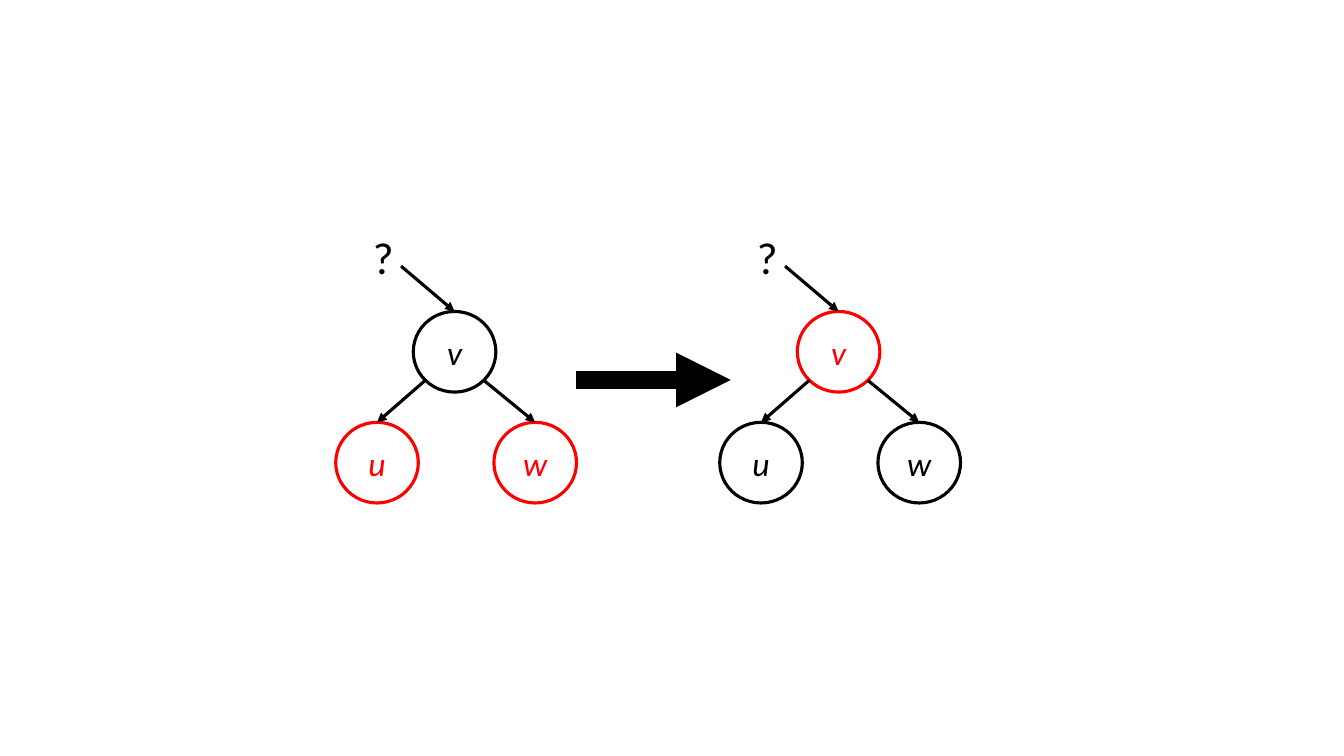
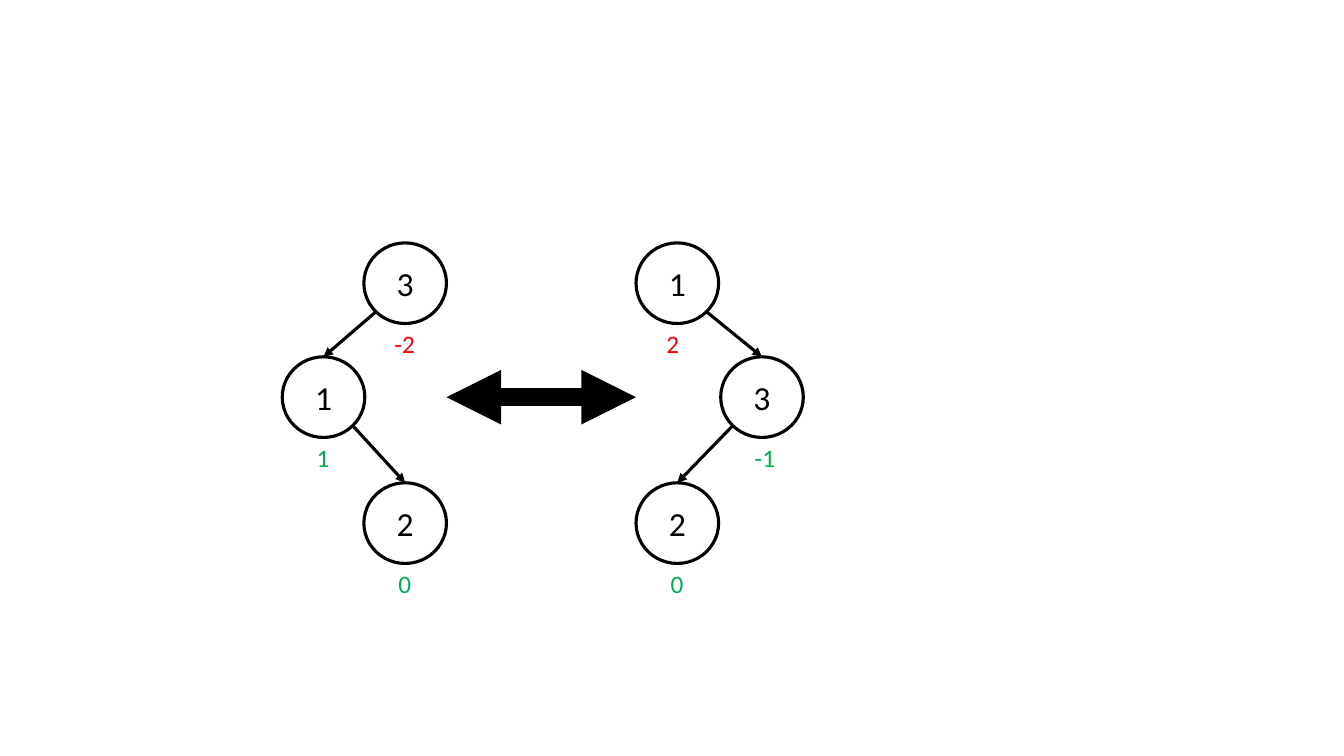
from collections import namedtuple
from math import sqrt

from lxml.etree import SubElement
from pptx import Presentation
from pptx.dml.color import RGBColor
from pptx.enum.shapes import MSO_CONNECTOR, MSO_SHAPE
from pptx.enum.text import MSO_ANCHOR, MSO_AUTO_SIZE, PP_ALIGN
from pptx.oxml.ns import qn
from pptx.util import Pt

Theme = namedtuple("Theme", "black red green font node_size label_size question_size edge_width arrow_width")
THEME = Theme(
    black=RGBColor(0, 0, 0),
    red=RGBColor(255, 0, 0),
    green=RGBColor(0, 176, 80),
    font="Calibri",
    node_size=24,
    label_size=18,
    question_size=32,
    edge_width=2.25,
    arrow_width=13,
)
Node = namedtuple("Node", "text x y color label label_color label_shift", defaults=("", None, 0))
Tree = namedtuple("Tree", "nodes edges unknown_parent italic")

SLIDE_SIZE = (960, 540)
NODE_WIDTH, NODE_HEIGHT = 59, 57.6
LABEL_HEIGHT = 28.8
LABEL_PADDING, LABEL_CHARACTER = 18.2, 5.7
QUESTION_BOX = (-65.5, -62, 20.9, 46.1)
QUESTION_EDGE = (-38.2, -32.4)


def recolor_tree(shift, parent_color, child_color):
    nodes = [
        Node("v", 324.7 + shift, 251.3, parent_color),
        Node("u", 269.3 + shift, 330.5, child_color),
        Node("w", 382.3 + shift, 330.5, child_color),
    ]
    return Tree(nodes, [(0, 1), (0, 2)], True, True)


def rotation_tree(values, columns, balances, shifts):
    rows = (202.3, 283.7, 373.7)
    colors = (THEME.red, THEME.green, THEME.green)
    nodes = [
        Node(value, x, y, THEME.black, balance, color, shift)
        for value, x, y, balance, color, shift in zip(values, columns, rows, balances, colors, shifts)
    ]
    return Tree(nodes, [(0, 1), (1, 2)], False, False)


SLIDES = [
    {
        "trees": [
            recolor_tree(0, THEME.black, THEME.red),
            recolor_tree(274.3, THEME.red, THEME.black),
        ],
        "arrow": ((411.8, 271.4), (522, 271.4)),
        "ends": ("tailEnd",),
    },
    {
        "trees": [
            rotation_tree("312", (289.4, 231.1, 289.4), ("-2", "1", "0"), (0, 0, 0)),
            rotation_tree("132", (483.8, 544.3, 483.8), ("2", "-1", "0"), (-3, 2.5, 0)),
        ],
        "arrow": ((318.9, 283.7), (454.3, 283.7)),
        "ends": ("headEnd", "tailEnd"),
    },
]


def apply_format(target, values):
    for name, value in values.items():
        setattr(target, name, value)


def write_text(shape, text, size, color, frame_format, alignment=PP_ALIGN.LEFT, italic=False):
    apply_format(shape.text_frame, frame_format)
    paragraph = shape.text_frame.paragraphs[0]
    paragraph.alignment = alignment
    run = paragraph.add_run()
    run.text = text
    apply_format(run.font, {"name": THEME.font, "size": Pt(size), "italic": italic})
    run.font.color.rgb = color


def add_text(slide, box, text, size, color, wrap):
    shape = slide.shapes.add_textbox(*map(Pt, box))
    frame_format = {"word_wrap": wrap, "auto_size": MSO_AUTO_SIZE.SHAPE_TO_FIT_TEXT}
    write_text(shape, text, size, color, frame_format)


def add_line(slide, start, end, width=THEME.edge_width, ends=("tailEnd",)):
    connector = slide.shapes.add_connector(MSO_CONNECTOR.STRAIGHT, *map(Pt, (*start, *end)))
    connector.line.color.rgb = THEME.black
    connector.line.width = Pt(width)
    line_element = connector.line._get_or_add_ln()
    for tag in ends:
        SubElement(line_element, qn(f"a:{tag}"), type="triangle")
    SubElement(connector._element.spPr, qn("a:effectLst"))


def top_of(node):
    return node.x, node.y - NODE_HEIGHT / 2


def add_edge(slide, parent, child):
    side = 1 if child.x > parent.x else -1
    start = (
        parent.x + side * NODE_WIDTH / 2 / sqrt(2),
        parent.y + NODE_HEIGHT / 2 / sqrt(2),
    )
    add_line(slide, start, top_of(child))


def add_node(slide, node, italic):
    left, top = node.x - NODE_WIDTH / 2, node.y - NODE_HEIGHT / 2
    shape = slide.shapes.add_shape(MSO_SHAPE.OVAL, *map(Pt, (left, top, NODE_WIDTH, NODE_HEIGHT)))
    shape.shadow.inherit = False
    shape.fill.background()
    shape.line.color.rgb = node.color
    shape.line.width = Pt(THEME.edge_width)
    frame_format = {"vertical_anchor": MSO_ANCHOR.MIDDLE, "word_wrap": True}
    write_text(shape, node.text, THEME.node_size, node.color, frame_format, PP_ALIGN.CENTER, italic)
    if node.label:
        width = LABEL_PADDING + LABEL_CHARACTER * len(node.label)
        box = (node.x + node.label_shift - width / 2, top + NODE_HEIGHT, width, LABEL_HEIGHT)
        add_text(slide, box, node.label, THEME.label_size, node.label_color, False)


def add_unknown_parent(slide, root):
    x, y = top_of(root)
    left, top, width, height = QUESTION_BOX
    add_text(slide, (x + left, y + top, width, height), "?", THEME.question_size, THEME.black, True)
    add_line(slide, (x + QUESTION_EDGE[0], y + QUESTION_EDGE[1]), (x, y))


def add_tree(slide, tree):
    for node in tree.nodes:
        add_node(slide, node, tree.italic)
    for parent, child in tree.edges:
        add_edge(slide, tree.nodes[parent], tree.nodes[child])
    if tree.unknown_parent:
        add_unknown_parent(slide, tree.nodes[0])


presentation = Presentation()
presentation.slide_width, presentation.slide_height = map(Pt, SLIDE_SIZE)
for content in SLIDES:
    slide = presentation.slides.add_slide(presentation.slide_layouts[6])
    for tree in content["trees"]:
        add_tree(slide, tree)
    add_line(slide, *content["arrow"], THEME.arrow_width, content["ends"])
presentation.save("out.pptx")
